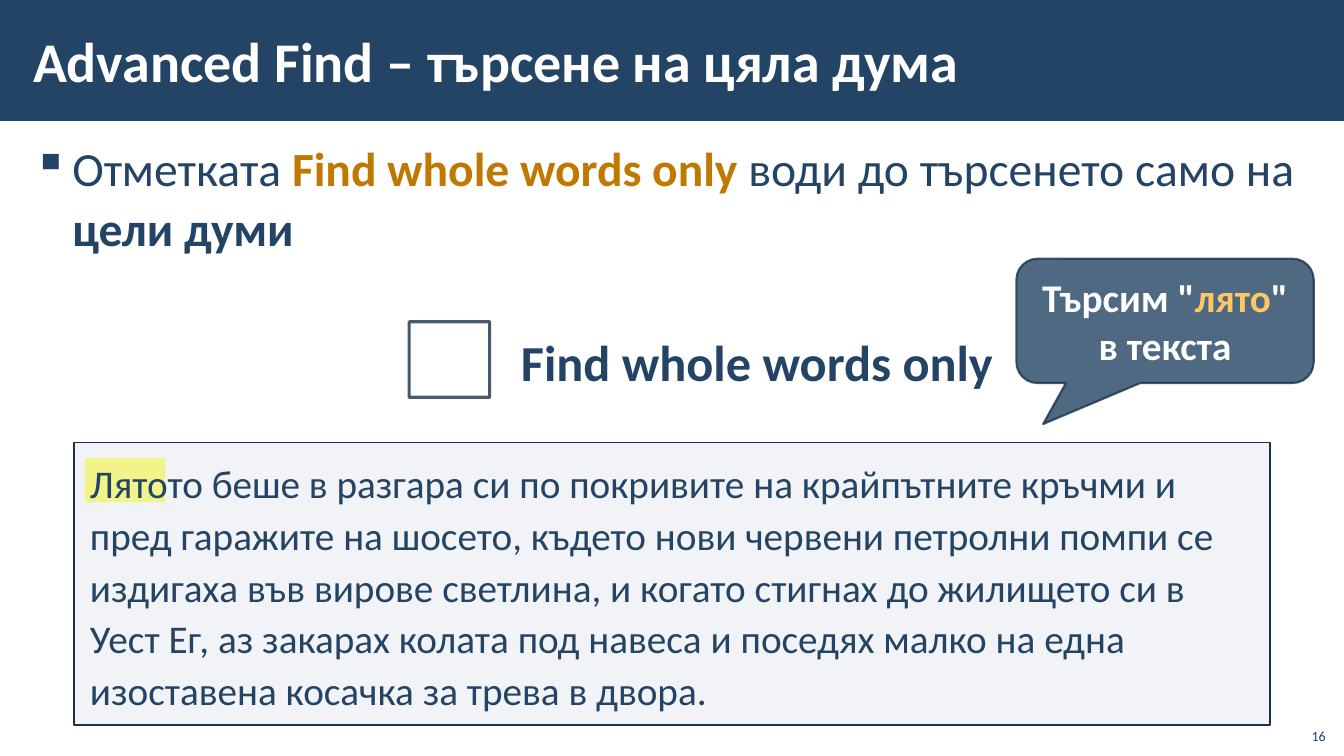
from lxml import etree
from pptx import Presentation
from pptx.dml.color import RGBColor
from pptx.enum.shapes import MSO_SHAPE
from pptx.enum.text import MSO_ANCHOR, MSO_AUTO_SIZE, PP_ALIGN
from pptx.oxml.ns import qn
from pptx.util import Inches, Pt

RECT = MSO_SHAPE.RECTANGLE
CALLOUT = MSO_SHAPE.ROUNDED_RECTANGULAR_CALLOUT
TOP, MIDDLE, BOTTOM = MSO_ANCHOR.TOP, MSO_ANCHOR.MIDDLE, MSO_ANCHOR.BOTTOM
LEFT, CENTER, RIGHT = PP_ALIGN.LEFT, PP_ALIGN.CENTER, PP_ALIGN.RIGHT
GROW, FIXED = MSO_AUTO_SIZE.SHAPE_TO_FIT_TEXT, MSO_AUTO_SIZE.NONE

COLORS = {
    "navy": "234465",
    "edge": "1A334C",
    "panel": "ADB4C3",
    "marker": "FFFF00",
    "amber": "BF7800",
    "gold": "FFC666",
    "white": "FFFFFF",
}
COLS, ROWS = 160, 90
TIGHT, ROOMY, PLAIN = (0.12, 0.04), (0.16, 0.12), (0.1, 0.05)


class Deck:
    """Places styled elements on a slide divided into 160 columns and 90 rows."""

    def __init__(self):
        self.prs = Presentation()
        self.prs.slide_width, self.prs.slide_height = Inches(13.33), Inches(7.5)
        self.s = self.prs.slides.add_slide(self.prs.slide_layouts[6])
        self.font = "Calibri"

    def place(self, col, row, cols, rows):
        w, h = self.prs.slide_width / COLS, self.prs.slide_height / ROWS
        return int(col * w), int(row * h), int(cols * w), int(rows * h)

    def paint(self, fill, color, alpha):
        fill.solid()
        fill.fore_color.rgb = RGBColor.from_string(COLORS[color])
        if alpha < 100:
            clr = fill._xPr.find(qn("a:solidFill"))[0]
            etree.SubElement(clr, qn("a:alpha"), val=str(alpha * 1000))

    def shape(self, kind, at, fill=None, alpha=100, line=0, line_alpha=100):
        sp = self.s.shapes.add_shape(kind, *self.place(*at))
        sp.shadow.inherit = False
        if fill:
            self.paint(sp.fill, fill, alpha)
        else:
            sp.fill.background()
        if line:
            sp.line.width = Pt(line)
            self.paint(sp.line.fill, "edge", line_alpha)
        else:
            sp.line.fill.background()
        return sp

    def text(self, at, runs, size, **style):
        sp = self.s.shapes.add_textbox(*self.place(*at))
        self.label(sp, runs, size, **style)

    def label(self, sp, runs, size, insets=PLAIN, anchor=TOP, align=LEFT,
              spacing=1.0, fit=FIXED, bullet=None):
        tf = sp.text_frame
        tf.word_wrap, tf.auto_size, tf.vertical_anchor = True, fit, anchor
        tf.margin_left = tf.margin_right = Inches(insets[0])
        tf.margin_top = tf.margin_bottom = Inches(insets[1])
        p = tf.paragraphs[0]
        p.alignment, p.line_spacing = align, spacing
        if bullet:
            self.bullet(p, bullet)
        for content, color, bold in runs:
            r = p.add_run()
            r.text = content
            r.font.name, r.font.size, r.font.bold = self.font, Pt(size), bold
            r.font.color.rgb = RGBColor.from_string(COLORS[color])

    def bullet(self, p, char):
        p.space_after = Pt(6)
        pPr = p._p.get_or_add_pPr()
        pPr.set("marL", str(Inches(0.39)))
        pPr.set("indent", str(-Inches(0.39)))
        etree.SubElement(pPr, qn("a:buChar"), char=char)


def main():
    d = Deck()
    d.shape(RECT, (0, 0, COLS, 14.4), "navy")
    d.shape(RECT, (10.1, 54.5, 9.6, 5.3), "marker", 50)

    passage = d.shape(RECT, (8.8, 52.7, 142.4, 33.6), "panel", 15, line=1)
    d.label(passage, [(
        "Лятото беше в разгара си по покривите на крайпътните кръчми и пред "
        "гаражите на шосето, където нови червени петролни помпи се издигаха "
        "във вирове светлина, и когато стигнах до жилището си в Уест Ег, аз "
        "закарах колата под навеса и поседях малко на една изоставена косачка "
        "за трева в двора.", "navy", False)],
        28, insets=ROOMY, spacing=1.1, fit=GROW)

    d.text((154.2, 85.4, 4.8, 3.8), [("16", "navy", False)], 10,
           anchor=BOTTOM, align=RIGHT)
    d.text((2.5, 15.7, 155, 72.6), [
        ("Отметката ", "navy", False),
        ("Find whole words only ", "amber", True),
        ("води до търсенето само на ", "navy", False),
        ("цели думи", "navy", True)],
        34, insets=TIGHT, spacing=1.05, bullet="▪")
    d.text((2.5, 1.3, 134.8, 11.6),
           [("Advanced Find – търсене на цяла дума", "white", True)],
           40, insets=TIGHT, anchor=MIDDLE)

    d.text((60.1, 37.3, 63.7, 10.8), [("Find whole words only", "navy", True)],
           36, insets=ROOMY, spacing=1.1, fit=GROW)
    d.shape(RECT, (48.7, 38.3, 9.6, 9), line=2.25, line_alpha=80)

    callout = d.shape(CALLOUT, (121, 30.8, 35.4, 14.8), "navy", 80,
                      line=1.5, line_alpha=80)
    for i, value in enumerate((-0.41, 0.83, 0.17)):
        callout.adjustments[i] = value
    d.label(callout, [
        ("Търсим \"", "white", True),
        ("лято", "gold", True),
        ("\" в текста", "white", True)],
        28, anchor=MIDDLE, align=CENTER)

    d.prs.save("out.pptx")


if __name__ == "__main__":
    main()
